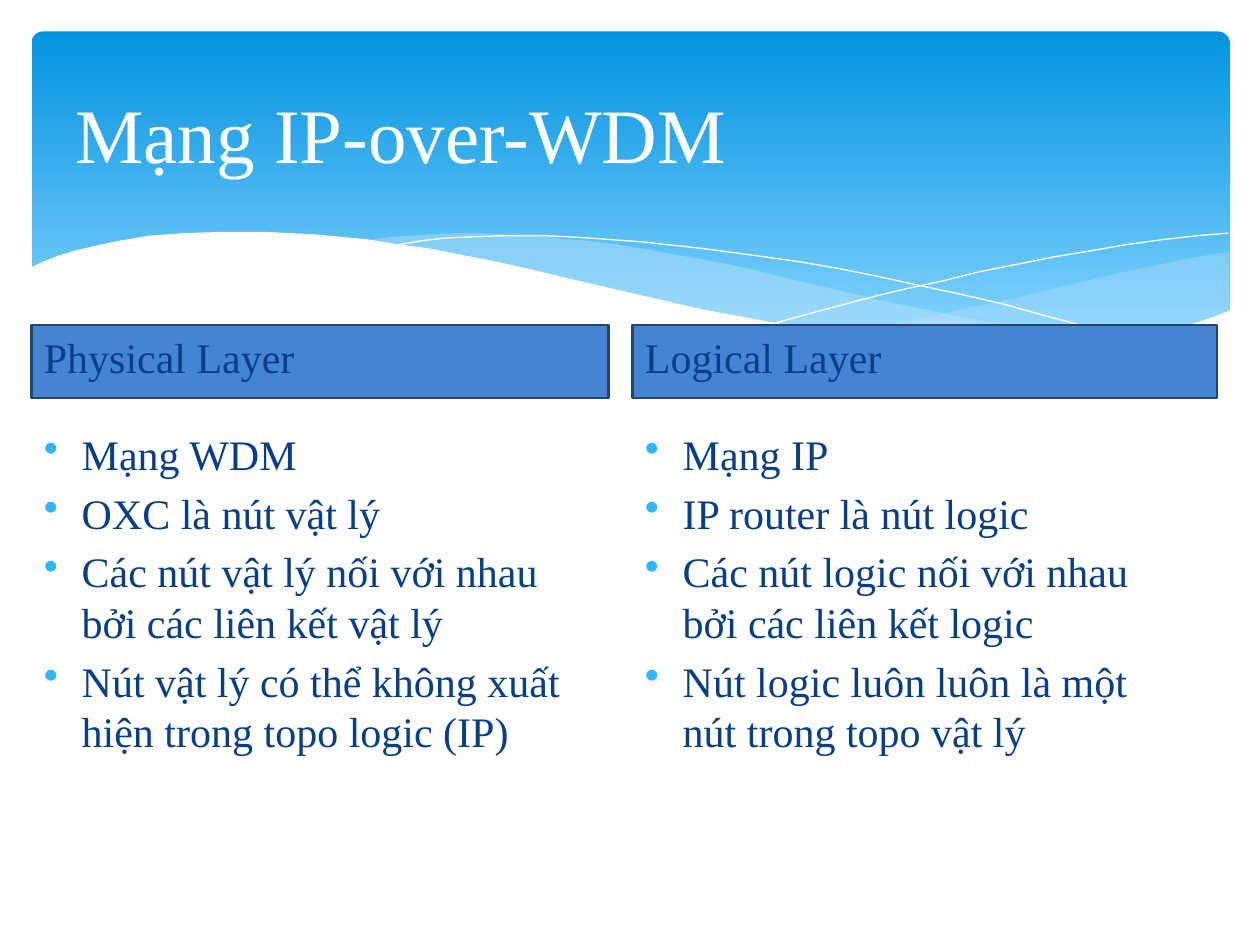
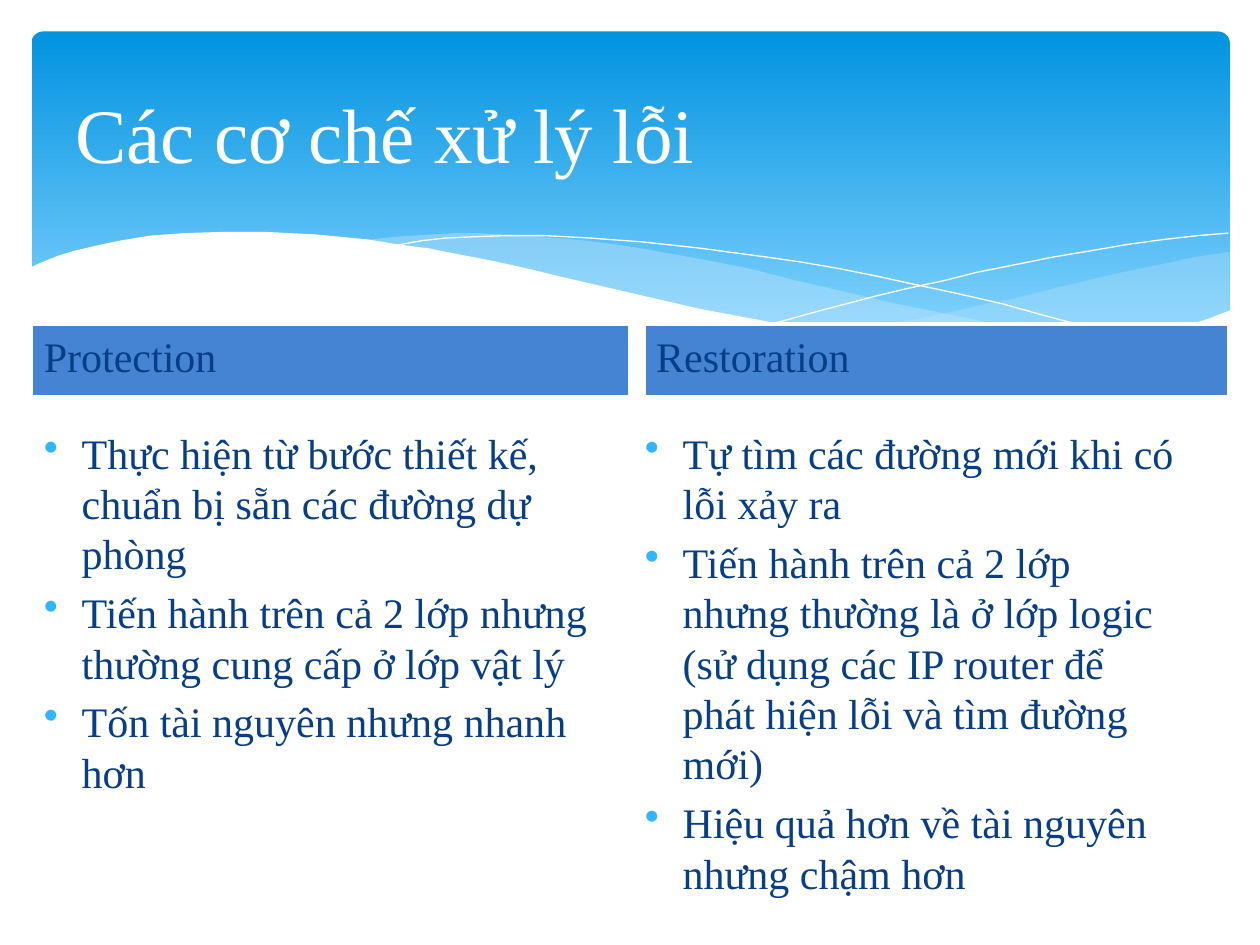
from lxml import etree
from pptx import Presentation
from pptx import util as u
from pptx.dml.color import RGBColor
from pptx.enum import shapes, text
from pptx.oxml.ns import qn

# Content: each column is (heading, bullets)
SLIDES = [
    {"title": "Mạng IP-over-WDM",
     "columns": [
         ("Physical Layer", [
             "Mạng WDM",
             "OXC là nút vật lý",
             "Các nút vật lý nối với nhau bởi các liên kết vật lý",
             "Nút vật lý có thể không xuất hiện trong topo logic (IP)"]),
         ("Logical Layer", [
             "Mạng IP",
             "IP router là nút logic",
             "Các nút logic nối với nhau bởi các liên kết logic",
             "Nút logic luôn luôn là một nút trong topo vật lý"])],
     "bars": [(0.25, 4.58), (5.02, 4.64)], "bar_top": 2.58,
     "body_widths": [4.42, 4.42], "outline": ("24456E", 1.25)},
    {"title": "Các cơ chế xử lý lỗi",
     "columns": [
         ("Protection", [
             "Thực hiện từ bước thiết kế, chuẩn bị sẵn các đường dự phòng",
             "Tiến hành trên cả 2 lớp nhưng thường cung cấp ở lớp vật lý",
             "Tốn tài nguyên nhưng nhanh hơn"]),
         ("Restoration", [
             "Tự tìm các đường mới khi có lỗi xảy ra",
             "Tiến hành trên cả 2 lớp nhưng thường là ở lớp logic (sử dụng các "
             "IP router để phát hiện lỗi và tìm đường mới)",
             "Hiệu quả hơn về tài nguyên nhưng chậm hơn"])],
     "bars": [(0.25, 4.75), (5.11, 4.64)], "bar_top": 2.57,
     "body_widths": [4.67, 4.42], "outline": ("FFFFFF", 2)},
]

# Shared style
FONT = "Times New Roman"
WHITE = RGBColor(0xFF, 0xFF, 0xFF)
NAVY = RGBColor(0x07, 0x3E, 0x87)
BAR_BLUE = RGBColor(0x45, 0x84, 0xD3)
SKY_TOP = RGBColor(0x02, 0x93, 0xE0)
SKY_BOTTOM = RGBColor(0x83, 0xD3, 0xFE)
MIST = RGBColor(0xC6, 0xE7, 0xFC)
BULLET_COLOUR = "31B6FD"
TITLE_FORMAT = {"name": FONT, "size": u.Pt(44)}
TEXT_FORMAT = {"name": FONT, "size": u.Pt(24)}
BODY_LEFTS = [0.25, 5.02]
BAR_HEIGHT, BODY_HEIGHT, BODY_DROP = 0.58, 3.58, 0.77  # bar top to body top
PARA_GAP = u.Pt(4.8)
HANGING = u.Inches(0.3)

# Wave outlines in hundredths of an inch
RIGHT_MIST = [
    (975, 200), (948, 204), (921, 210), (891, 216), (861, 223), (832, 230),
    (805, 237), (779, 242), (753, 248), (729, 253), (706, 257), (661, 265),
    (691, 269), (719, 272), (745, 275), (769, 277), (803, 278), (835, 277),
    (863, 275), (889, 272), (913, 267), (935, 262), (949, 257), (963, 252),
    (976, 247), (976, 200)]
LONG_MIST = [
    (893, 273), (866, 269), (837, 265), (807, 260), (775, 254), (741, 247),
    (706, 240), (668, 231), (629, 222), (598, 214), (569, 208), (541, 203),
    (514, 198), (489, 194), (465, 191), (442, 189), (420, 187), (399, 186),
    (380, 185), (361, 185), (344, 186), (313, 188), (286, 191), (323, 196),
    (362, 203), (404, 211), (449, 222), (491, 232), (530, 240), (566, 248),
    (601, 255), (634, 261), (665, 266), (695, 270), (722, 274), (748, 276),
    (773, 277), (796, 278), (838, 278), (867, 276), (893, 273)]
FALLING_LINE = [
    (309, 195), (318, 194), (335, 191), (353, 189), (374, 188), (401, 187),
    (433, 187), (469, 189), (510, 192), (556, 197), (608, 204), (636, 208),
    (665, 213), (695, 219), (727, 226), (760, 233), (795, 241), (831, 251),
    (869, 261), (907, 272)]
RISING_LINE = [
    (613, 257), (653, 246), (695, 235), (720, 229), (748, 223), (776, 216),
    (806, 210), (836, 204), (866, 199), (895, 194), (924, 190), (951, 187),
    (975, 185)]
WHITE_WAVE = [
    (977, 246), (959, 253), (940, 259), (920, 265), (899, 269), (875, 273),
    (850, 275), (823, 277), (793, 276), (761, 275), (726, 272), (688, 268),
    (648, 262), (603, 254), (555, 245), (503, 233), (447, 220), (418, 213),
    (391, 207), (365, 202), (340, 197), (316, 194), (292, 190), (271, 188),
    (250, 186), (230, 185), (211, 184), (177, 184), (146, 185), (119, 187),
    (95, 191), (76, 195), (59, 199), (46, 203), (36, 207), (29, 210),
    (23, 213), (23, 329), (977, 329)]


def apply(target, formats):
    for name, value in formats.items():
        setattr(target, name, value)


def draw_wave(page, points, fill=None, alpha=100):
    """A filled wave, or a white hairline when no fill is given."""
    builder = page.shapes.build_freeform(*points[0], scale=9144)
    builder.add_line_segments(points[1:], close=fill is not None)
    wave = builder.convert_to_shape()
    wave.shadow.inherit = False
    if fill is None:
        wave.fill.background()
        wave.line.color.rgb = WHITE
        wave.line.width = 0
        return
    wave.fill.solid()
    wave.fill.fore_color.rgb = fill
    wave.line.fill.background()
    if alpha < 100:
        colour = wave.fill._xPr.find(".//" + qn("a:srgbClr"))
        etree.SubElement(colour, qn("a:alpha"), val=str(alpha * 1000))


def draw_banner(page):
    banner = page.shapes.add_shape(
        shapes.MSO_SHAPE.ROUNDED_RECTANGLE,
        *map(u.Inches, (0.25, 0.25, 9.51, 2.7)))
    banner.adjustments[0] = 0.034
    banner.shadow.inherit = False
    banner.line.fill.background()
    banner.fill.gradient()
    banner.fill.gradient_angle = 270
    stops = zip(banner.fill.gradient_stops, [(0, SKY_TOP), (0.9, SKY_BOTTOM)])
    for stop, (position, colour) in stops:
        stop.position = position
        stop.color.rgb = colour
    draw_wave(page, RIGHT_MIST, MIST, 29)
    draw_wave(page, LONG_MIST, MIST, 40)
    draw_wave(page, FALLING_LINE)
    draw_wave(page, RISING_LINE)
    draw_wave(page, WHITE_WAVE, WHITE)


def write(box, lines, formats, colour, anchor=text.MSO_ANCHOR.TOP,
          gap=None, bullets=False):
    frame = box.text_frame
    apply(frame, {"word_wrap": True, "vertical_anchor": anchor})
    for number, line in enumerate(lines):
        para = frame.add_paragraph() if number else frame.paragraphs[0]
        apply(para, {"alignment": text.PP_ALIGN.LEFT, "space_before": gap})
        span = para.add_run()
        span.text = line
        apply(span.font, formats)
        span.font.color.rgb = colour
        if bullets:
            add_bullet(para)


def add_bullet(para):
    props = para._p.get_or_add_pPr()
    props.set("marL", str(HANGING))
    props.set("indent", str(-HANGING))
    colour = etree.SubElement(props, qn("a:buClr"))
    etree.SubElement(colour, qn("a:srgbClr"), val=BULLET_COLOUR)
    etree.SubElement(props, qn("a:buChar"), char="•")


def draw_bar(page, left, top, width, heading, outline):
    bar = page.shapes.add_shape(
        shapes.MSO_SHAPE.RECTANGLE,
        *map(u.Inches, (left, top, width, BAR_HEIGHT)))
    bar.shadow.inherit = False
    bar.fill.solid()
    bar.fill.fore_color.rgb = BAR_BLUE
    colour, weight = outline
    bar.line.color.rgb = RGBColor.from_string(colour)
    bar.line.width = u.Pt(weight)
    write(bar, [heading], TEXT_FORMAT, NAVY, gap=PARA_GAP)


def build_page(deck, content):
    page = deck.slides.add_slide(deck.slide_layouts[6])
    draw_banner(page)
    title = page.shapes.add_textbox(*map(u.Inches, (0.5, 0.37, 9, 1.37)))
    write(title, [content["title"]], TITLE_FORMAT, WHITE,
          text.MSO_ANCHOR.MIDDLE)

    # Two columns: bulleted text under a heading bar
    top = content["bar_top"]
    columns = zip(content["columns"], content["bars"],
                  BODY_LEFTS, content["body_widths"])
    for (heading, points), (bar_left, bar_width), left, width in columns:
        body = page.shapes.add_textbox(
            *map(u.Inches, (left, top + BODY_DROP, width, BODY_HEIGHT)))
        write(body, points, TEXT_FORMAT, NAVY, gap=PARA_GAP, bullets=True)
        draw_bar(page, bar_left, top, bar_width, heading, content["outline"])


def main():
    deck = Presentation()
    apply(deck, {"slide_width": u.Inches(10), "slide_height": u.Inches(7.5)})
    for content in SLIDES:
        build_page(deck, content)
    deck.save("out.pptx")


if __name__ == "__main__":
    main()
